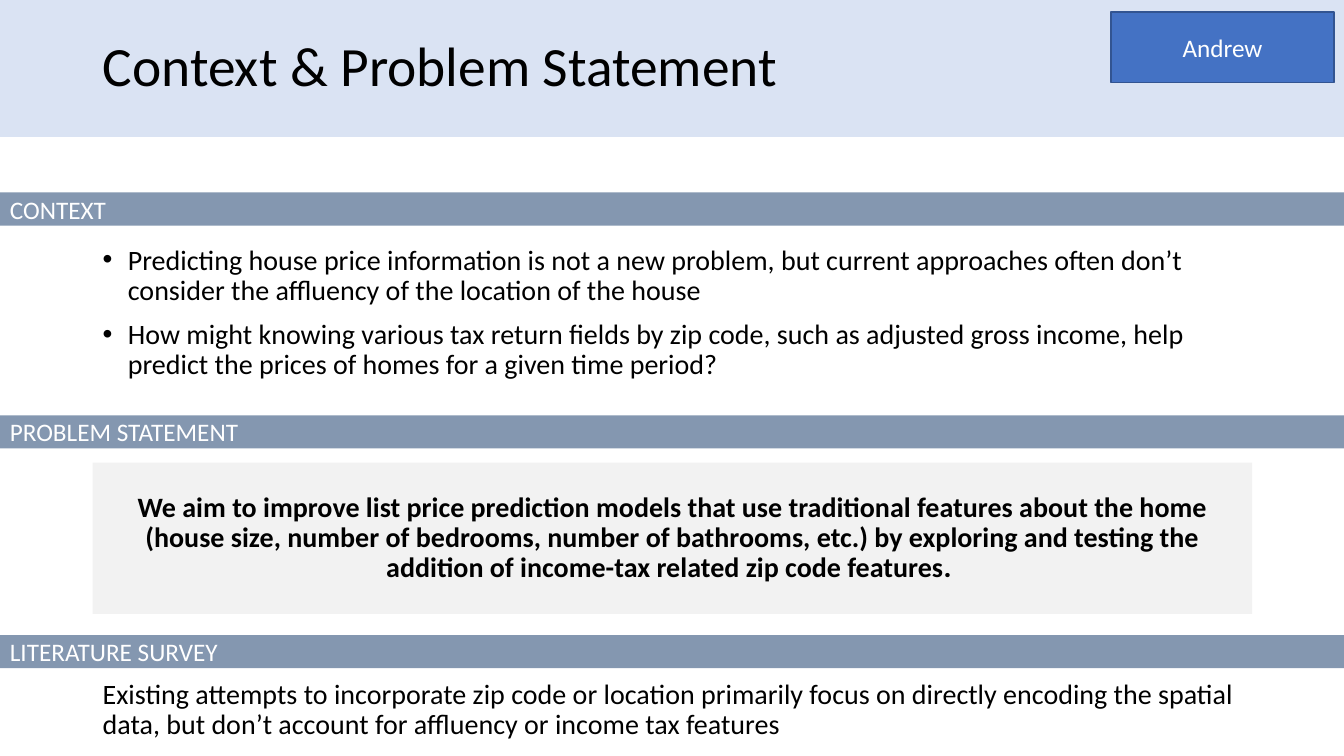
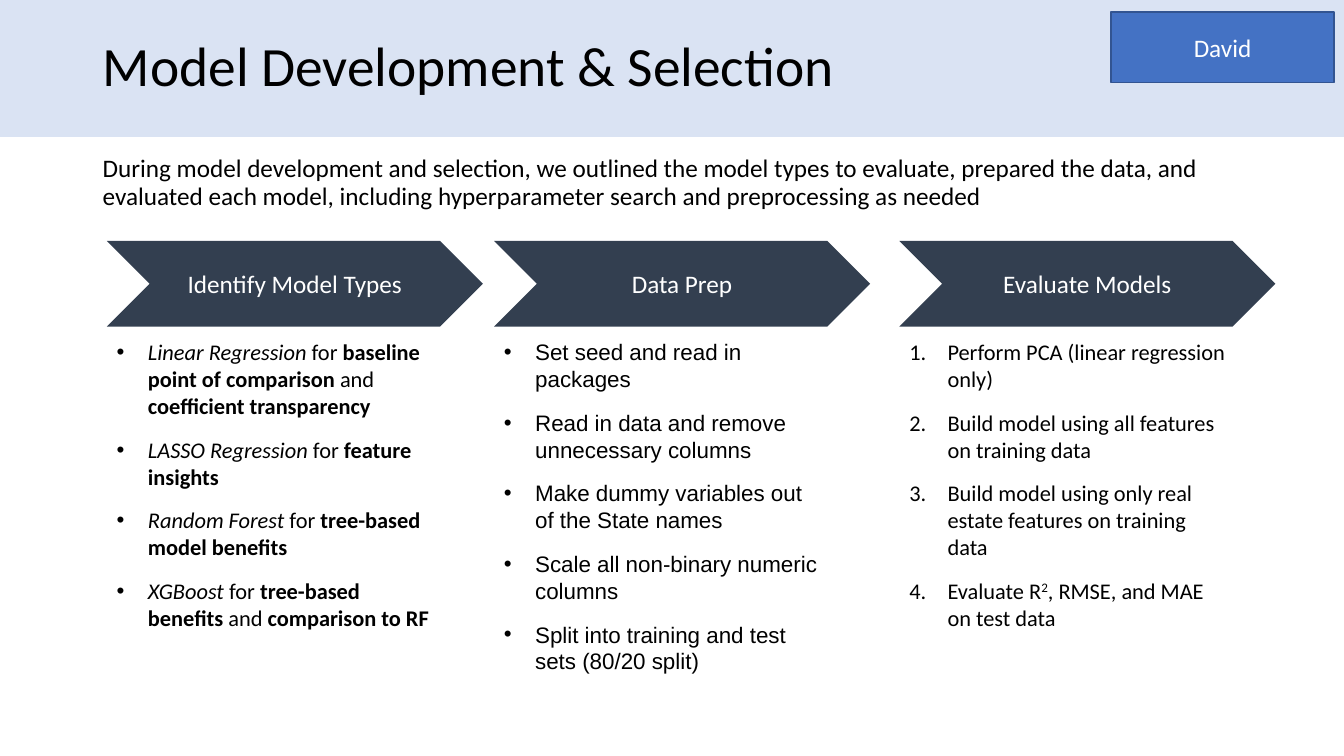
from lxml.etree import SubElement
from pptx import Presentation
from pptx.dml.color import RGBColor
from pptx.enum.shapes import MSO_SHAPE as Shape
from pptx.enum.text import MSO_ANCHOR as Anchor, MSO_AUTO_SIZE as AutoSize, PP_ALIGN as Align
from pptx.oxml.ns import qn
from pptx.util import Pt

PX = 9144
WIDTH, HEIGHT = 1333, 750
MARGIN, CONTENT_WIDTH = 92, 1150

BLACK = RGBColor(0x00, 0x00, 0x00)
WHITE = RGBColor(0xFF, 0xFF, 0xFF)
PALE_BLUE = RGBColor(0xDA, 0xE3, 0xF3)
SLATE = RGBColor(0x84, 0x97, 0xB0)
NAVY = RGBColor(0x33, 0x3F, 0x50)
PALE_GRAY = RGBColor(0xF2, 0xF2, 0xF2)
BLUE = RGBColor(0x44, 0x72, 0xC4)
DARK_BLUE = RGBColor(0x32, 0x54, 0x91)

FONT = "Calibri"
TITLE_ONLY = 5

CONTEXT = [
    "Predicting house price information is not a new problem, but current approaches "
    "often don’t consider the affluency of the location of the house",
    "How might knowing various tax return fields by zip code, such as adjusted gross "
    "income, help predict the prices of homes for a given time period?",
]
PROBLEM = (
    "We aim to improve list price prediction models that use traditional features about "
    "the home (house size, number of bedrooms, number of bathrooms, etc.) by exploring "
    "and testing the addition of income-tax related zip code features"
)
SURVEY = (
    "Existing attempts to incorporate zip code or location primarily focus on directly "
    "encoding the spatial data, but don’t account for affluency or income tax features"
)
INTRO = (
    "During model development and selection, we outlined the model types to evaluate, "
    "prepared the data, and evaluated each model, including hyperparameter search and "
    "preprocessing as needed"
)
MODEL_TYPES = [
    [("Linear Regression", "italic"), (" for ", ""), ("baseline point of comparison ", "bold"),
     ("and ", ""), ("coefficient transparency", "bold")],
    [("LASSO Regression ", "italic"), ("for ", ""), ("feature insights", "bold")],
    [("Random Forest ", "italic"), ("for ", ""), ("tree-based model benefits", "bold")],
    [("XGBoost", "italic"), (" for ", ""), ("tree-based benefits ", "bold"),
     ("and ", ""), ("comparison to RF", "bold")],
]
DATA_PREP = [
    "Set seed and read in packages",
    "Read in data and remove unnecessary columns",
    "Make dummy variables out of the State names",
    "Scale all non-binary numeric columns",
    "Split into training and test sets (80/20 split)",
]
EVALUATION = [
    "Perform PCA (linear regression only)",
    "Build model using all features on training data",
    "Build model using only real estate features on training data",
    [("Evaluate R", ""), ("2", "superscript"), (", RMSE, and MAE on test data", "")],
]
STEPS = [
    (106, "Identify Model Types", MODEL_TYPES, {"bullet": "•", "indent": 31}),
    (490, "Data Prep", DATA_PREP, {"bullet": "•", "indent": 31, "font": "Arial"}),
    (892, "Evaluate Models", EVALUATION, {"bullet": "1.", "indent": 38}),
]


def emu(*lengths):
    return [length * PX for length in lengths]


def add_run(paragraph, text, size, color=BLACK, font=FONT, style=""):
    run = paragraph.add_run()
    run.text = text
    run.font.name = font
    run.font.size = Pt(size)
    run.font.color.rgb = color
    run.font.bold = style == "bold"
    run.font.italic = style == "italic"
    if style == "superscript":
        run.font._element.set("baseline", "30000")


def set_bullet(paragraph, bullet, indent):
    properties = paragraph._p.get_or_add_pPr()
    properties.set("marL", str(indent * PX))
    properties.set("indent", str(-indent * PX))
    if bullet == "1.":
        SubElement(properties, qn("a:buFont"), typeface="+mj-lt")
        SubElement(properties, qn("a:buAutoNum"), type="arabicPeriod")
    else:
        SubElement(properties, qn("a:buFont"), typeface="Arial")
        SubElement(properties, qn("a:buChar"), char=bullet)


def add_text(slide, box, items, size, line=1.0, before=0, after=0,
             bullet=None, indent=0, font=FONT):
    frame = slide.shapes.add_textbox(*emu(*box)).text_frame
    frame.word_wrap = True
    for index, item in enumerate(items):
        paragraph = frame.add_paragraph() if index else frame.paragraphs[0]
        paragraph.line_spacing = line
        paragraph.space_before = Pt(before)
        paragraph.space_after = Pt(after)
        if bullet:
            set_bullet(paragraph, bullet, indent)
        runs = [(item, "")] if isinstance(item, str) else item
        for text, style in runs:
            add_run(paragraph, text, size, font=font, style=style)


def add_panel(slide, box, fill, kind=Shape.RECTANGLE, text="", align=Align.CENTER, line=None):
    shape = slide.shapes.add_shape(kind, *emu(*box))
    shape.shadow.inherit = False
    shape.fill.solid()
    shape.fill.fore_color.rgb = fill
    if line:
        shape.line.color.rgb = line
        shape.line.width = Pt(1)
    else:
        shape.line.fill.background()
    frame = shape.text_frame
    frame.word_wrap = True
    frame.vertical_anchor = Anchor.MIDDLE
    paragraph = frame.paragraphs[0]
    paragraph.alignment = align
    if text:
        add_run(paragraph, text, 18, WHITE)
    return shape


def add_titled_slide(presentation, title, presenter):
    slide = presentation.slides.add_slide(presentation.slide_layouts[TITLE_ONLY])
    band = add_panel(slide, (0, 0, WIDTH, 136), PALE_BLUE)
    slide.shapes._spTree.insert(2, band._element)
    placeholder = slide.shapes.title
    placeholder.left, placeholder.top, placeholder.width, placeholder.height = emu(
        MARGIN, 32, CONTENT_WIDTH, 72)
    frame = placeholder.text_frame
    frame.auto_size = AutoSize.NONE
    frame.vertical_anchor = Anchor.MIDDLE
    paragraph = frame.paragraphs[0]
    paragraph.alignment = Align.LEFT
    paragraph.line_spacing = 0.9
    add_run(paragraph, title, 39.6)
    add_panel(slide, (1102, 12, 221, 70), BLUE, text=presenter, line=DARK_BLUE)
    return slide


def add_section_bar(slide, top, heading):
    add_panel(slide, (0, top, WIDTH, 33), SLATE, text=heading, align=Align.LEFT)


def add_problem_panel(slide, box):
    panel = add_panel(slide, box, PALE_GRAY)
    paragraph = panel.text_frame.paragraphs[0]
    paragraph.line_spacing = 0.9
    paragraph.space_before = Pt(10)
    add_run(paragraph, PROBLEM, 20, style="bold")
    add_run(paragraph, ". ", 20, font="Roboto", style="bold")


def add_step(slide, left, top, heading, items, list_style):
    add_panel(slide, (left, top, 373, 85), NAVY, Shape.CHEVRON, heading)
    add_text(slide, (left, top + 92, 334, 374), items, 16, after=12, **list_style)


def build_context_slide(presentation):
    slide = add_titled_slide(presentation, "Context & Problem Statement", "Andrew")
    add_section_bar(slide, 191, "CONTEXT")
    add_text(slide, (MARGIN, 239, CONTENT_WIDTH, 162), CONTEXT, 20,
             line=0.9, before=10, bullet="•", indent=25)
    add_section_bar(slide, 412, "PROBLEM STATEMENT")
    add_problem_panel(slide, (MARGIN, 459, CONTENT_WIDTH, 150))
    add_section_bar(slide, 630, "LITERATURE SURVEY")
    add_text(slide, (MARGIN, 670, CONTENT_WIDTH, 72), [SURVEY], 20, line=0.9, before=10)


def build_model_slide(presentation):
    slide = add_titled_slide(presentation, "Model Development & Selection", "David")
    add_text(slide, (MARGIN, 150, CONTENT_WIDTH, 72), [INTRO], 18, line=0.9, before=10)
    for left, heading, items, list_style in STEPS:
        add_step(slide, left, 239, heading, items, list_style)


def main():
    presentation = Presentation()
    presentation.slide_width, presentation.slide_height = emu(WIDTH, HEIGHT)
    build_context_slide(presentation)
    build_model_slide(presentation)
    presentation.save("out.pptx")


if __name__ == "__main__":
    main()
